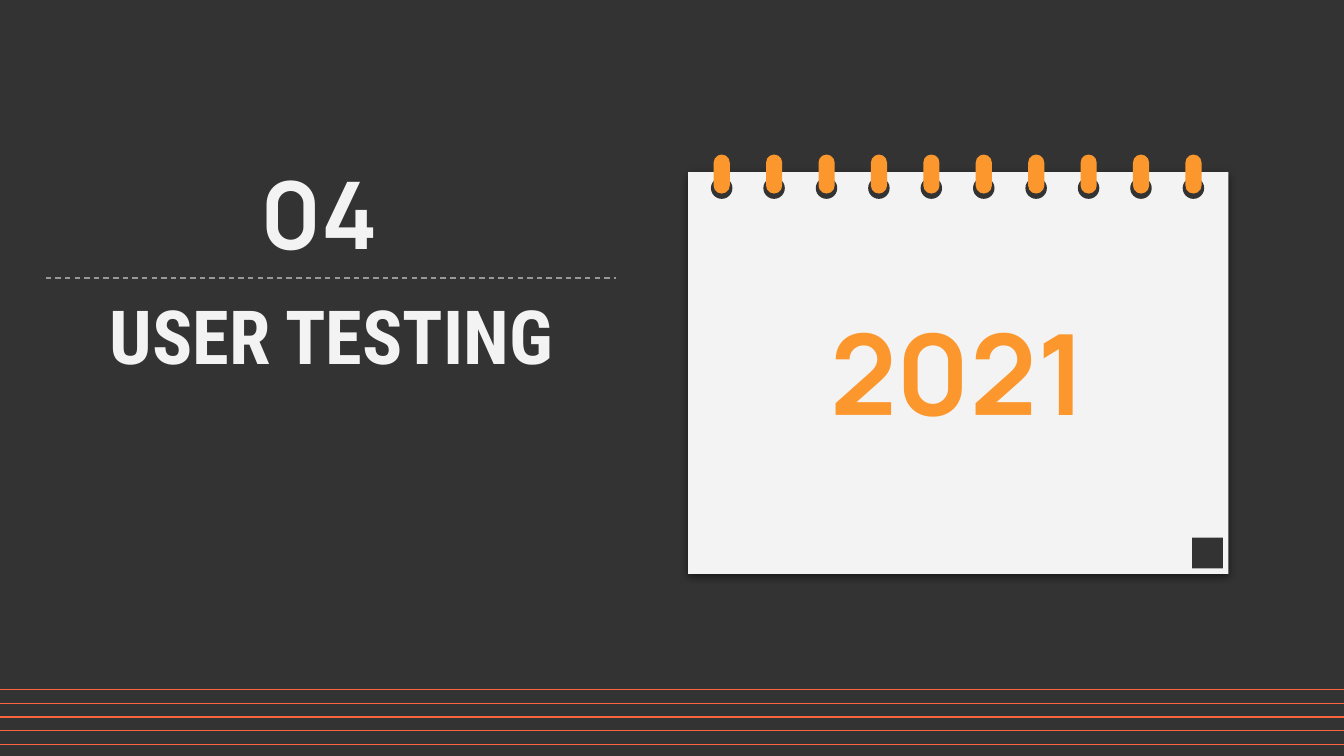
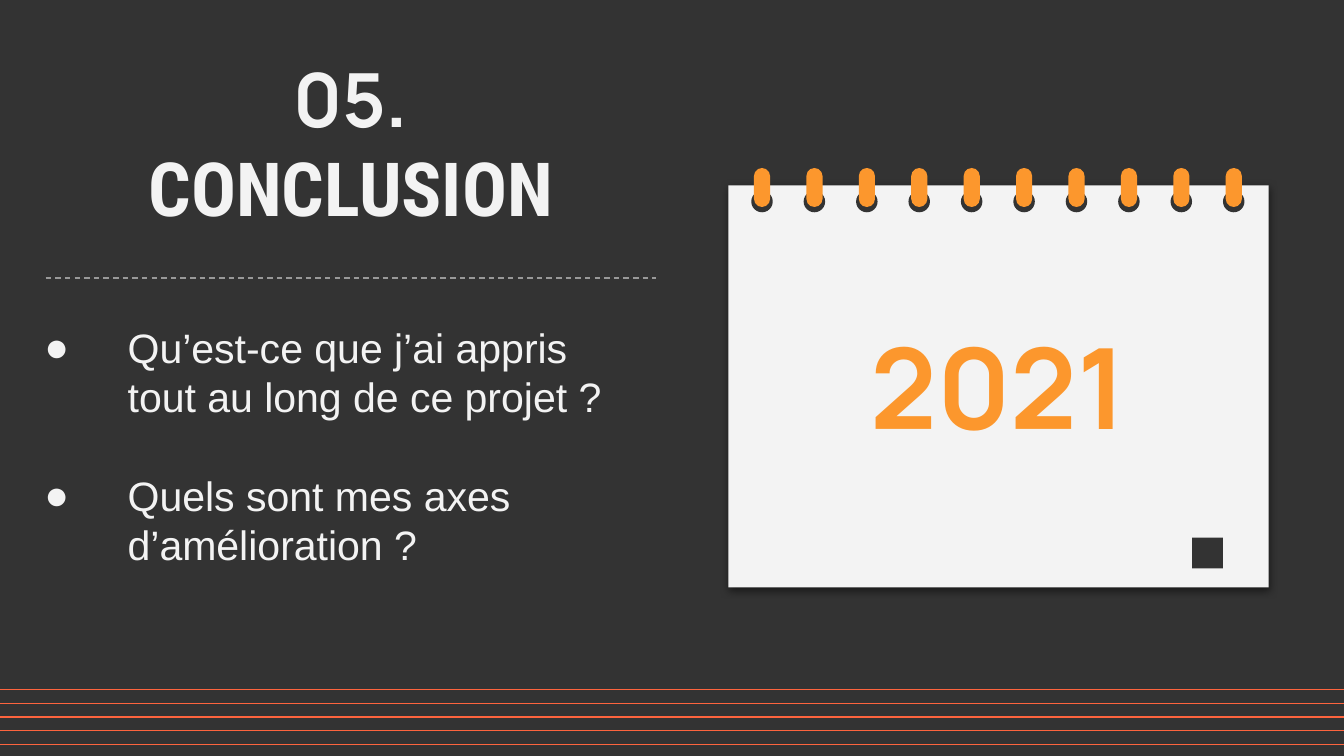
from lxml import etree
from pptx import Presentation
from pptx.dml.color import RGBColor
from pptx.enum.dml import MSO_LINE_DASH_STYLE as Dash
from pptx.enum.shapes import MSO_CONNECTOR, MSO_SHAPE as Shape
from pptx.enum.text import MSO_ANCHOR as Anchor, MSO_AUTO_SIZE as AutoSize, PP_ALIGN as Align
from pptx.oxml.ns import qn
from pptx.util import Inches, Pt

# Shared style
DARK, PAPER, AMBER = "333333", "F3F3F3", "FC972D"
BAND, RULE = "FE643E", "999999"
DISPLAY, HEADING, BODY = "Manrope", "Roboto Condensed", "Arial"
YEAR = "2021"

# Content: boxes are left, top, width, height in inches
SLIDES = [
    {
        "title": [("04", DISPLAY)],
        "title_size": 50,
        "title_box": (0.46, 1.06, 3.83, 0.67),
        "body": ["USER TESTING"],
        "body_box": (0.15, 2.06, 4.63, 2.4),
        "body_format": dict(font=HEADING, size=40, bold=True, align=Align.CENTER),
        "calendar": (5.12, 1.28),
        "rule_end": 4.58,
    },
    {
        "title": [("05. ", DISPLAY), ("CONCLUSION", HEADING)],
        "title_size": 40,
        "title_box": (0.62, 0.29, 3.98, 0.67),
        "body": [
            "Qu’est-ce que j’ai appris tout au long de ce projet ?",
            "Quels sont mes axes d’amélioration ?",
        ],
        "body_box": (0.23, 2.3, 4.64, 2.4),
        "body_format": dict(font=BODY, size=22, align=Align.LEFT, bullet="●", gap=26.4),
        "calendar": (5.42, 1.38),
        "rule_end": 4.88,
    },
]

# Calendar and band geometry
PAGE_WIDTH, PAGE_HEIGHT = 4.02, 2.99
RING_COUNT, RING_SPAN, FIRST_RING = 10, 3.51, 0.25
HOLE_SIZE, PIN_WIDTH, PIN_HEIGHT = 0.16, 0.12, 0.29
BAND_COUNT, BAND_TOP, BAND_SPAN = 5, 5.13, 0.41


def rgb(color):
    return RGBColor.from_string(color)


def add_effects(shape, shadow=False):
    """Give a shape a soft drop shadow, or none at all."""
    effects = etree.SubElement(shape._element.spPr, qn("a:effectLst"))
    if shadow:
        outer = etree.SubElement(effects, qn("a:outerShdw"), blurRad=str(Pt(4.5)),
                                 dist=str(Pt(1.5)), dir="5400000", algn="bl",
                                 rotWithShape="0")
        color = etree.SubElement(outer, qn("a:srgbClr"), val="000000")
        etree.SubElement(color, qn("a:alpha"), val="50000")


def add_block(shapes, kind, left, top, width, height, color, shadow=False):
    shape = shapes.add_shape(kind, *map(Inches, (left, top, width, height)))
    shape.fill.solid()
    shape.fill.fore_color.rgb = rgb(color)
    shape.line.fill.background()
    add_effects(shape, shadow)
    return shape


def add_line(shapes, left, right, top, color, dash=None, shadow=False):
    line = shapes.add_connector(MSO_CONNECTOR.STRAIGHT, *map(Inches, (left, top, right, top)))
    line.line.color.rgb = rgb(color)
    line.line.width = Pt(0.75)
    if dash:
        line.line.dash_style = dash
    add_effects(line, shadow)


def add_bullet(paragraph, mark, color, indent=0.62):
    properties = paragraph._p.get_or_add_pPr()
    properties.set("marL", str(Inches(indent)))
    properties.set("indent", str(-Inches(indent)))
    bullet_color = etree.SubElement(properties, qn("a:buClr"))
    etree.SubElement(bullet_color, qn("a:srgbClr"), val=color)
    etree.SubElement(properties, qn("a:buFont"), typeface=BODY)
    etree.SubElement(properties, qn("a:buChar"), char=mark)


def write(shape, box, paragraphs, *, size, font=BODY, color=PAPER, bold=False,
          align=Align.CENTER, bullet=None, gap=0):
    """Fill a shape; each paragraph is a string or a list of (text, font) runs."""
    shape.left, shape.top, shape.width, shape.height = map(Inches, box)
    frame = shape.text_frame
    frame.word_wrap = True
    frame.auto_size = AutoSize.NONE
    frame.vertical_anchor = Anchor.TOP
    frame.margin_left = frame.margin_right = Inches(0.1)
    frame.margin_top = frame.margin_bottom = Inches(0.1)
    for index, content in enumerate(paragraphs):
        paragraph = frame.add_paragraph() if index else frame.paragraphs[0]
        paragraph.alignment = align
        paragraph.line_spacing = 1.0
        paragraph.space_before = Pt(gap if index else 0)
        paragraph.space_after = Pt(0)
        if bullet:
            add_bullet(paragraph, bullet, color)
        for text, typeface in [(content, font)] if isinstance(content, str) else content:
            run = paragraph.add_run()
            run.text = text
            run.font.name = typeface
            run.font.size = Pt(size)
            run.font.bold = bold
            run.font.color.rgb = rgb(color)


def add_calendar(slide, left, top):
    calendar = slide.shapes.add_group_shape().shapes
    add_block(calendar, Shape.RECTANGLE, left, top, PAGE_WIDTH, PAGE_HEIGHT, PAPER, shadow=True)
    for index in range(RING_COUNT):
        center = left + FIRST_RING + index * RING_SPAN / (RING_COUNT - 1)
        add_block(calendar, Shape.OVAL, center - HOLE_SIZE / 2, top + 0.04,
                  HOLE_SIZE, HOLE_SIZE, DARK)
        pin = add_block(calendar, Shape.ROUNDED_RECTANGLE, center - PIN_WIDTH / 2,
                        top - 0.13, PIN_WIDTH, PIN_HEIGHT, AMBER)
        pin.adjustments[0] = 0.5
    add_block(slide.shapes, Shape.RECTANGLE, 8.87, 4, 0.23, 0.23, DARK)
    year_box = (left, top + 0.88, PAGE_WIDTH, 1.31)
    write(slide.shapes.add_textbox(0, 0, 0, 0), year_box, [YEAR], size=60, font=DISPLAY,
          color=AMBER, bold=True)


def add_bands(slide):
    bands = slide.shapes.add_group_shape().shapes
    for index in range(BAND_COUNT):
        top = BAND_TOP + index * BAND_SPAN / (BAND_COUNT - 1)
        add_line(bands, 0, 10.01, top, BAND, shadow=True)


def build_slide(presentation, content):
    slide = presentation.slides.add_slide(presentation.slide_layouts[0])
    add_calendar(slide, *content["calendar"])
    # Title and text
    write(slide.shapes.title, content["title_box"], [content["title"]],
          size=content["title_size"], bold=True)
    write(slide.placeholders[1], content["body_box"], content["body"],
          **content["body_format"])
    # Bottom bands and divider
    add_bands(slide)
    add_line(slide.shapes, 0.34, content["rule_end"], 2.07, RULE, dash=Dash.DASH)


def main():
    presentation = Presentation()
    # Widescreen, 16:9
    presentation.slide_width = Inches(10)
    presentation.slide_height = Inches(10) * 9 // 16
    background = presentation.slide_master.background.fill
    background.solid()
    background.fore_color.rgb = rgb(DARK)
    for content in SLIDES:
        build_slide(presentation, content)
    presentation.save("out.pptx")


if __name__ == "__main__":
    main()
